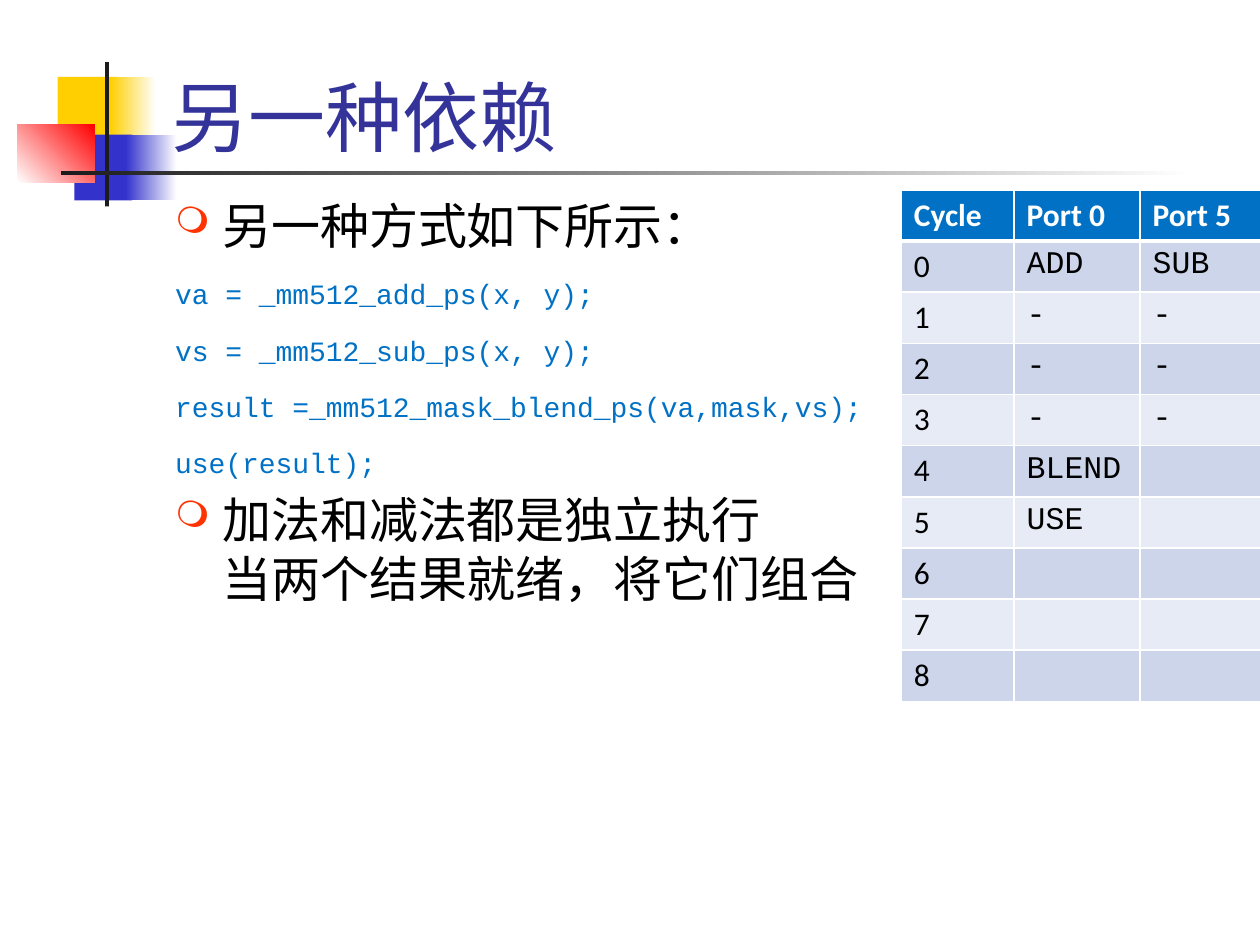
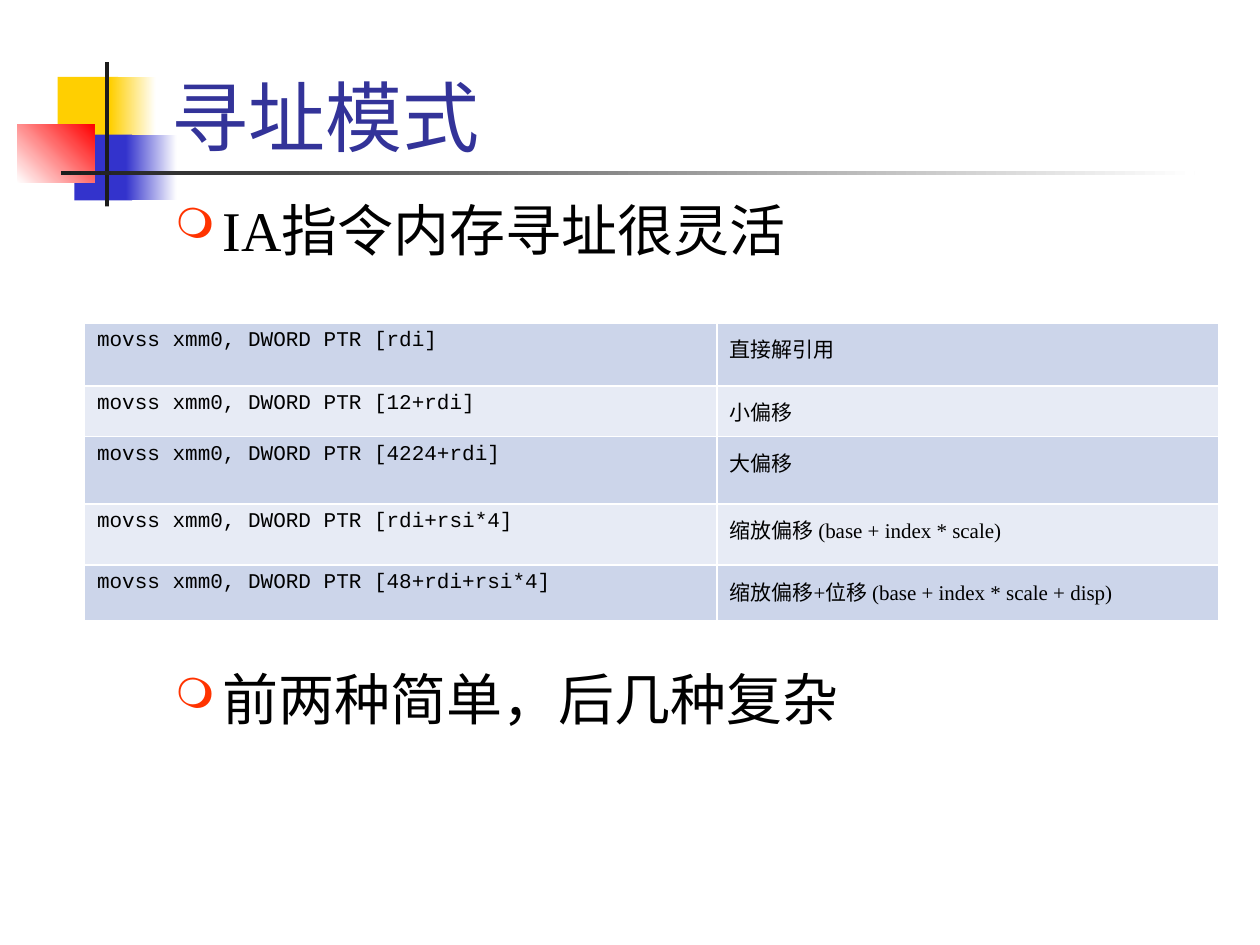
from dataclasses import dataclass

import lxml.etree
import pptx
import pptx.dml.color
import pptx.enum.shapes
import pptx.enum.text
import pptx.oxml.ns
import pptx.util

Pt = pptx.util.Pt
COLORS = {
    "white": "FFFFFF", "black": "000000", "ink": "1C1C1C",
    "yellow": "FFCF01", "blue": "3333CC", "red": "FF0000",
    "title": "333399", "bullet": "FF3300", "code": "0071C5",
    "dark_band": "CCD5EA", "light_band": "E7EBF5",
}
SERIF, SANS, MONO = "Times New Roman", "Calibri", "Courier New"


@dataclass(frozen=True)
class Block:
    left: float
    top: float
    width: float
    height: float
    start: str
    end: str = ""
    angle: float = 0


@dataclass(frozen=True)
class Style:
    font: str
    size: float
    color: str = "black"
    bold: bool = False


@dataclass(frozen=True)
class Line:
    text: str
    style: Style
    before: float = 0
    bullet: bool = False


@dataclass(frozen=True)
class Column:
    width: float
    style: Style
    margin_top: float = 3.6


@dataclass(frozen=True)
class Grid:
    left: float
    top: float
    columns: list[Column]
    row_heights: list[float]
    rows: list[tuple[str, ...]]
    header: Style | None = None


DECORATION = [
    Block(33, 44, 34.5, 37.5, "yellow"),
    Block(63, 44, 26, 37.5, "yellow", "white"),
    Block(42.5, 77, 33, 37.5, "blue"),
    Block(72, 77, 29, 37.5, "blue", "white"),
    Block(10, 71, 44, 33.5, "white", "red", 45),
    Block(60, 35.5, 2.25, 82.5, "ink"),
    Block(34.75, 97.75, 648, 2.25, "ink", "white"),
]
TITLE = Style(SERIF, 44, "title")
POINT = Style(SERIF, 28)
LARGE_POINT = Style(SERIF, 32)
CODE = Style(MONO, 16, "code")

BLEND_CODE = [
    "va = _mm512_add_ps(x, y);",
    "vs = _mm512_sub_ps(x, y);",
    "result =_mm512_mask_blend_ps(va,mask,vs);",
    "use(result);",
]
DEPENDENCY_LINES = [
    Line("另一种方式如下所示：", POINT, bullet=True),
    *(Line(code, CODE, before=13) for code in BLEND_CODE),
    Line("加法和减法都是独立执行\n当两个结果就绪，将它们组合", POINT, 5.6, True),
]
ADDRESSING_LINES = [
    Line("IA指令内存寻址很灵活", LARGE_POINT, bullet=True),
    Line("前两种简单，后几种复杂", LARGE_POINT, 230, True),
]

PORT_USE = [("ADD", "SUB"), ("-", "-"), ("-", "-"), ("-", "-"),
            ("BLEND", ""), ("USE", ""), ("", ""), ("", ""), ("", "")]
SCHEDULE = Grid(
    515, 108.5,
    [Column(64.5, Style(SANS, 18)), Column(72, Style(MONO, 18)), Column(69, Style(MONO, 18))],
    [29.25] * (len(PORT_USE) + 1),
    [("Cycle", "Port 0", "Port 5"),
     *((str(cycle), *ports) for cycle, ports in enumerate(PORT_USE))],
    Style(SANS, 18, "white", True),
)
ADDRESS_FORMS = [
    ("rdi", "直接解引用"),
    ("12+rdi", "小偏移"),
    ("4224+rdi", "大偏移"),
    ("rdi+rsi*4", "缩放偏移 (base + index * scale)"),
    ("48+rdi+rsi*4", "缩放偏移+位移 (base + index * scale + disp)"),
]
MODES = Grid(
    48.25, 184.5,
    [Column(361.5, Style(MONO, 12)), Column(286.5, Style(SERIF, 12), 6)],
    [36, 29, 38.5, 35, 32],
    [(f"movss xmm0, DWORD PTR [{address}]", meaning) for address, meaning in ADDRESS_FORMS],
)


def rgb(name: str) -> pptx.dml.color.RGBColor:
    return pptx.dml.color.RGBColor.from_string(COLORS[name])


def add_xml(parent, tag: str, **attributes: str):
    return lxml.etree.SubElement(parent, pptx.oxml.ns.qn(tag), attributes)


def draw_block(slide, block: Block) -> None:
    shape = slide.shapes.add_shape(
        pptx.enum.shapes.MSO_SHAPE.RECTANGLE,
        Pt(block.left), Pt(block.top), Pt(block.width), Pt(block.height))
    shape.shadow.inherit = False
    shape.line.fill.background()
    if block.end:
        shape.fill.gradient()
        shape.fill.gradient_angle = block.angle
        for stop, color in zip(shape.fill.gradient_stops, (block.start, block.end)):
            stop.color.rgb = rgb(color)
    else:
        shape.fill.solid()
        shape.fill.fore_color.rgb = rgb(block.start)


def write_runs(paragraph, text: str, style: Style) -> None:
    for index, part in enumerate(text.split("\n")):
        if index:
            paragraph.add_line_break()
        run = paragraph.add_run()
        run.text = part
        run.font.name = style.font
        run.font.size = Pt(style.size)
        run.font.bold = style.bold
        run.font.color.rgb = rgb(style.color)


def add_bullet(paragraph) -> None:
    properties = paragraph._p.get_or_add_pPr()
    properties.set("marL", str(Pt(27)))
    properties.set("indent", str(Pt(-27)))
    add_xml(add_xml(properties, "a:buClr"), "a:srgbClr", val=COLORS["bullet"])
    add_xml(properties, "a:buSzPct", val="75000")
    add_xml(properties, "a:buChar", char="❍")


def draw_text(slide, left: float, top: float, width: float, height: float,
              lines: list[Line], anchor=pptx.enum.text.MSO_ANCHOR.TOP) -> None:
    frame = slide.shapes.add_textbox(Pt(left), Pt(top), Pt(width), Pt(height)).text_frame
    frame.word_wrap = True
    frame.vertical_anchor = anchor
    for index, line in enumerate(lines):
        paragraph = frame.add_paragraph() if index else frame.paragraphs[0]
        if line.bullet:
            add_bullet(paragraph)
        if line.before:
            paragraph.space_before = Pt(line.before)
        write_runs(paragraph, line.text, line.style)


def set_border(cell, side: str, weight: float) -> None:
    border = add_xml(cell._tc.get_or_add_tcPr(), f"a:ln{side}", w=str(Pt(weight)))
    add_xml(add_xml(border, "a:solidFill"), "a:srgbClr", val=COLORS["white"])


def draw_grid(slide, grid: Grid) -> None:
    table = slide.shapes.add_table(
        len(grid.rows), len(grid.columns), Pt(grid.left), Pt(grid.top),
        Pt(sum(column.width for column in grid.columns)), Pt(sum(grid.row_heights))).table
    table.first_row = grid.header is not None
    table.horz_banding = False
    for index, column in enumerate(grid.columns):
        table.columns[index].width = Pt(column.width)
    first_band = 1 if grid.header else 0
    for row, texts in enumerate(grid.rows):
        table.rows[row].height = Pt(grid.row_heights[row])
        is_header = row < first_band
        band = "light_band" if (row - first_band) % 2 else "dark_band"
        for index, (column, text) in enumerate(zip(grid.columns, texts)):
            cell = table.cell(row, index)
            cell.margin_top = Pt(column.margin_top)
            for side in "LRTB":
                thick = (is_header and side == "B") or (
                    grid.header and row == first_band and side == "T")
                set_border(cell, side, 3 if thick else 1)
            cell.fill.solid()
            cell.fill.fore_color.rgb = rgb("code" if is_header else band)
            if text:
                style = grid.header if is_header else column.style
                write_runs(cell.text_frame.paragraphs[0], text, style)


def add_lesson(deck, title: str, lines: list[Line], grid: Grid) -> None:
    slide = deck.slides.add_slide(deck.slide_layouts[6])
    for block in DECORATION:
        draw_block(slide, block)
    draw_text(slide, 91, 6, 613.5, 90, [Line(title, TITLE)],
              pptx.enum.text.MSO_ANCHOR.BOTTOM)
    draw_text(slide, 93, 108, 612, 372, lines)
    draw_grid(slide, grid)


def main() -> None:
    deck = pptx.Presentation()
    deck.slide_width, deck.slide_height = Pt(720), Pt(540)
    add_lesson(deck, "另一种依赖", DEPENDENCY_LINES, SCHEDULE)
    add_lesson(deck, "寻址模式", ADDRESSING_LINES, MODES)
    deck.save("out.pptx")


if __name__ == "__main__":
    main()
